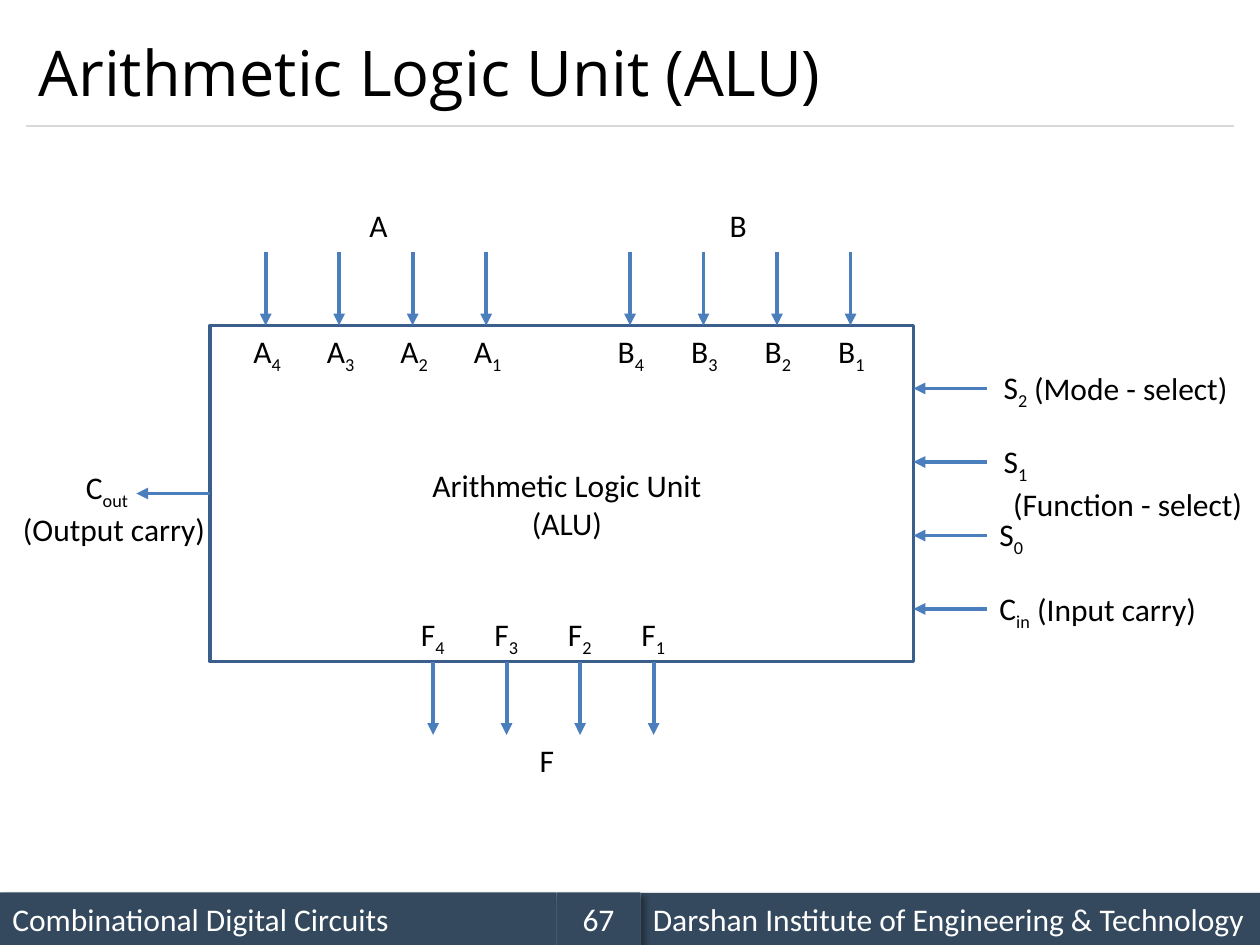
import pptx
import pptx.util
import pptx.dml.color
import pptx.enum.shapes
import pptx.enum.text
import pptx.oxml
import pptx.oxml.ns

RGB = pptx.dml.color.RGBColor
ALIGN = pptx.enum.text.PP_ALIGN
MIDDLE = pptx.enum.text.MSO_ANCHOR.MIDDLE
NAVY = RGB(0x34, 0x49, 0x5E)
BLUE = RGB(0x4B, 0x7E, 0xBC)
OUTLINE = RGB(0x3A, 0x5F, 0x8C)
RULE = RGB(0xD9, 0xD9, 0xD9)
BLACK = RGB(0, 0, 0)
WHITE = RGB(0xFF, 0xFF, 0xFF)

COLS, ROWS = 120, 90
PITCH = 7  # gap between neighbouring pins, and length of every arrow
LABEL_SHIFT = 2.35  # a pin label starts this far left of its arrow
ALU_X, ALU_Y, ALU_W, ALU_H = 20, 31, 67, 32
ALU_RIGHT, ALU_BOTTOM = ALU_X + ALU_W, ALU_Y + ALU_H

NS = pptx.oxml.ns.nsdecls("a")
NO_EFFECTS = f"<a:effectLst {NS}/>"
ARROWHEAD = f'<a:tailEnd {NS} type="triangle"/>'
FOOTER_SHADOW = (
    f'<a:effectLst {NS}><a:outerShdw blurRad="50800" dist="38100" dir="2700000" algn="tl">'
    '<a:srgbClr val="000000"><a:alpha val="40000"/></a:srgbClr>'
    '</a:outerShdw></a:effectLst>')


class Diagram:
    """Draws on one slide; lengths are columns and rows of the grid."""

    font, size = "Calibri", 18

    def __init__(self, prs):
        self.slide = prs.slides.add_slide(prs.slide_layouts[6])
        self.cell_w = prs.slide_width / COLS
        self.cell_h = prs.slide_height / ROWS

    def place(self, x, y, w, h):
        return (round(x * self.cell_w), round(y * self.cell_h),
                round(w * self.cell_w), round(h * self.cell_h))

    def set_text(self, sp, text, sub="", color=BLACK, align=ALIGN.LEFT, font=None, size=None):
        """Fill a shape with one paragraph, ending in an optional subscript."""
        tf = sp.text_frame
        tf.word_wrap = True
        p = tf.paragraphs[0]
        p.text = text
        p.alignment = align
        if sub:
            r = p.add_run()
            r.text = sub
            r._r.get_or_add_rPr().set("baseline", "-25000")
        for r in p.runs:
            r.font.name = font or self.font
            r.font.size = pptx.util.Pt(size or self.size)
            r.font.color.rgb = color

    def label(self, x, y, text, sub="", w=5.25, h=5, **style):
        sp = self.slide.shapes.add_textbox(*self.place(x, y, w, h))
        self.set_text(sp, text, sub, **style)
        return sp

    def box(self, x, y, w, h):
        sp = self.slide.shapes.add_shape(
            pptx.enum.shapes.MSO_SHAPE.RECTANGLE, *self.place(x, y, w, h))
        sp.shadow.inherit = False
        return sp

    def outlined_box(self, x, y, w, h):
        sp = self.box(x, y, w, h)
        sp.fill.background()
        sp.line.color.rgb = OUTLINE
        sp.line.width = pptx.util.Pt(2)
        return sp

    def footer(self, x, y, w, text, align=ALIGN.LEFT):
        sp = self.box(x, y, w, 5)
        sp.fill.solid()
        sp.fill.fore_color.rgb = NAVY
        sp.line.fill.background()
        spPr = sp._element.spPr
        spPr.replace(spPr.find(pptx.oxml.ns.qn("a:effectLst")),
                     pptx.oxml.parse_xml(FOOTER_SHADOW))
        sp.text_frame.vertical_anchor = MIDDLE
        self.set_text(sp, text, color=WHITE, align=align)

    def line(self, x1, y1, x2, y2, color, width):
        s = self.slide.shapes.add_connector(
            pptx.enum.shapes.MSO_CONNECTOR.STRAIGHT, *self.place(x1, y1, x2, y2))
        s.line.color.rgb = color
        s.line.width = pptx.util.Pt(width)
        s._element.spPr.append(pptx.oxml.parse_xml(NO_EFFECTS))
        return s

    def arrow(self, x1, y1, x2, y2):
        s = self.line(x1, y1, x2, y2, BLUE, 2.25)
        ln = s._element.spPr.find(pptx.oxml.ns.qn("a:ln"))
        ln.append(pptx.oxml.parse_xml(ARROWHEAD))
        return s

    def bus(self, name, x, arrow_y, label_y, name_x, name_y):
        """Four downward pins numbered 4 to 1, with the name of the whole bus."""
        for i in range(4):
            pin_x = x + i * PITCH
            self.arrow(pin_x, arrow_y, pin_x, arrow_y + PITCH)
            self.label(pin_x - LABEL_SHIFT, label_y, name, str(4 - i))
        self.label(name_x, name_y, name)


def main():
    prs = pptx.Presentation()
    prs.slide_width = pptx.util.Inches(10)
    prs.slide_height = pptx.util.Inches(7.5)
    d = Diagram(prs)

    d.footer(0, 85, 53, "Combinational Digital Circuits")
    d.line(2.5, 12, 117.5, 12, RULE, 0.75)
    d.footer(61, 85.05, 59, "Darshan Institute of Engineering & Technology")
    d.footer(53, 85, 8, "67", ALIGN.CENTER)
    title = d.label(2.5, 1.5, "Arithmetic Logic Unit (ALU)", w=115, h=10.5,
                    font="Open Sans", size=36)
    title.text_frame.vertical_anchor = MIDDLE

    alu = d.outlined_box(ALU_X, ALU_Y, ALU_W, ALU_H)
    d.label(39.6, 43.8, "Arithmetic Logic Unit (ALU)", w=28.8, h=8.5, align=ALIGN.CENTER)

    d.bus("A", 25.3, ALU_Y - PITCH, ALU_Y, 34, 19)
    d.bus("B", 60, ALU_Y - PITCH, ALU_Y, 68.3, 19)
    d.bus("F", 41.25, ALU_BOTTOM, ALU_BOTTOM - 5, 50.2, 70)

    controls = [("S", "2", 94.4), ("S", "1", 94.4), ("S", "0", 94), ("C", "in", 94)]
    for i, (name, sub, x) in enumerate(controls):
        y = 37 + i * PITCH
        d.arrow(ALU_RIGHT + PITCH, y, ALU_RIGHT, y)
        d.label(x, y - 2.5, name, sub, w=7)
    for x, y, text, w in [(97.3, 34.6, "(Mode - select)", 21.7),
                          (95.3, 45.6, "(Function - select)", 24.7),
                          (97.6, 55.6, "(Input carry)", 21.7),
                          (1, 48, "(Output carry)", 21.7)]:
        d.label(x, y, text, w=w)

    carry_y = ALU_Y + ALU_H / 2
    carry = d.arrow(ALU_X, carry_y, ALU_X - PITCH, carry_y)
    carry.begin_connect(alu, 1)
    d.label(7, 44, "C", "out", w=7)

    prs.save("out.pptx")


if __name__ == "__main__":
    main()
